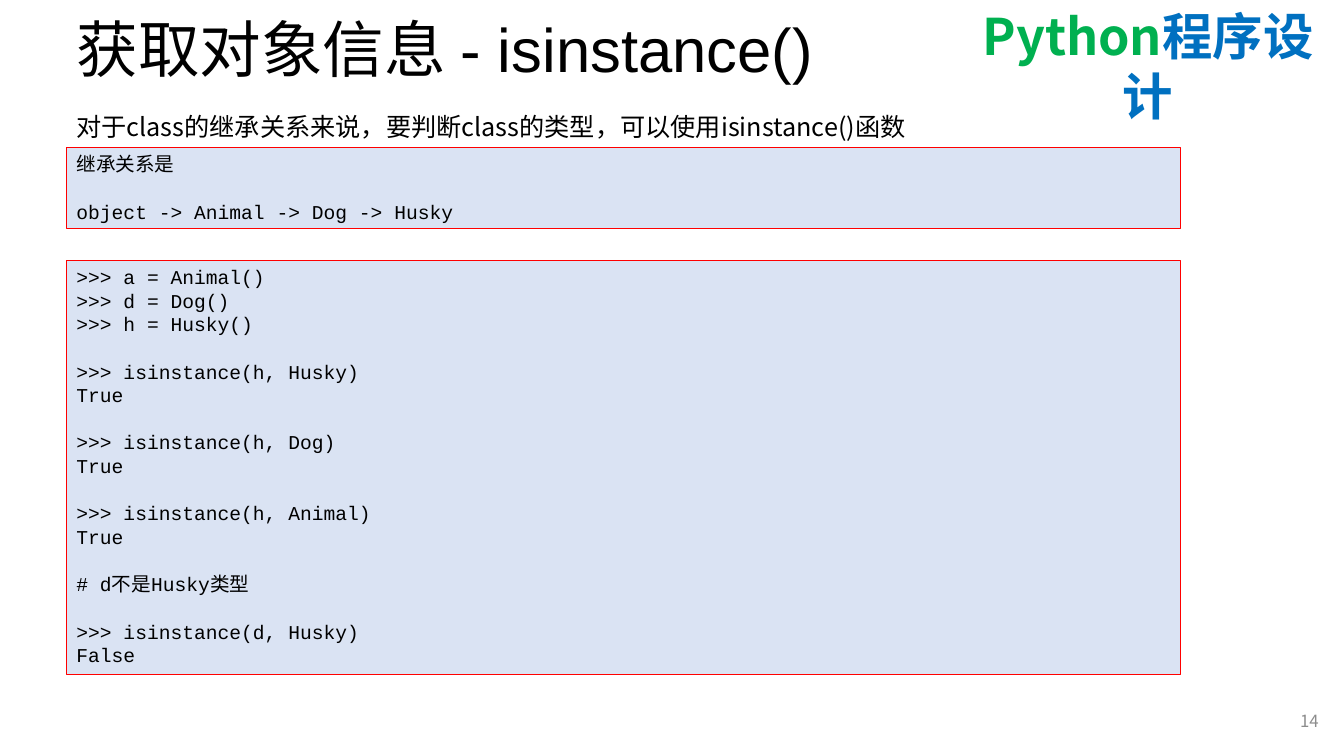
from pptx import Presentation
from pptx.dml.color import RGBColor
from pptx.enum.shapes import MSO_SHAPE as Shape
from pptx.enum.text import MSO_ANCHOR as Anchor, MSO_AUTO_SIZE as AutoSize, PP_ALIGN as Align
from pptx.oxml.ns import qn
from pptx.util import Pt

COLORS = {
    "black": "000000", "green": "00B050", "blue": "0070C0",
    "gray": "8C8C8C", "panel": "DAE3F3", "red": "FF0000",
}
BODY_FONT, TITLE_FONT, CODE_FONT = "Noto Sans CJK SC", "Arial", "Courier New"
LEFT = 47.5
CODE_SIZE, CODE_GAP = 14, 17

HIERARCHY = [["继承关系是"], ["object -> Animal -> Dog -> Husky"]]
SESSION = [
    [">>> a = Animal()", ">>> d = Dog()", ">>> h = Husky()"],
    [">>> isinstance(h, Husky)", "True"],
    [">>> isinstance(h, Dog)", "True"],
    [">>> isinstance(h, Animal)", "True"],
    ["# d不是Husky类型"],
    [">>> isinstance(d, Husky)", "False"],
]


def color(name):
    return RGBColor.from_string(COLORS[name])


class SlideBuilder:
    def __init__(self, deck):
        self.page = deck.slides.add_slide(deck.slide_layouts[5])

    def style(self, span, size, font=BODY_FONT, ink="black", bold=False):
        span.font.size = Pt(size)
        span.font.name = font
        span.font.bold = bold
        span.font.color.rgb = color(ink)
        east_asian = span.font._element.makeelement(qn("a:ea"), {"typeface": BODY_FONT})
        span.font._element.find(qn("a:latin")).addnext(east_asian)

    def title(self, text, left, top, width, height):
        box = self.page.shapes.title
        box.left, box.top, box.width, box.height = map(Pt, (left, top, width, height))
        frame = box.text_frame
        frame.text = text
        frame.auto_size = AutoSize.NONE
        frame.vertical_anchor = Anchor.MIDDLE
        para = frame.paragraphs[0]
        para.alignment = Align.LEFT
        para.line_spacing = 0.9
        self.style(para.runs[0], 44, TITLE_FONT)

    def text(self, spans, left, top, width, height, size,
             align=Align.LEFT, anchor=Anchor.TOP, bold=False):
        """Add one paragraph made of (text, colour name) spans."""
        box = self.page.shapes.add_textbox(*map(Pt, (left, top, width, height)))
        frame = box.text_frame
        frame.word_wrap = True
        frame.vertical_anchor = anchor
        para = frame.paragraphs[0]
        para.alignment = align
        for words, ink in spans:
            span = para.add_run()
            span.text = words
            self.style(span, size, ink=ink, bold=bold)

    def code(self, groups, top, height):
        """Add a code panel with a gap between groups of lines."""
        box = self.page.shapes.add_shape(
            Shape.RECTANGLE, Pt(LEFT), Pt(top), Pt(795.6), Pt(height))
        box.shadow.inherit = False
        box.fill.solid()
        box.fill.fore_color.rgb = color("panel")
        box.line.color.rgb = color("red")
        box.line.width = Pt(0.75)
        frame = box.text_frame
        frame.text = "\n".join(line for group in groups for line in group)
        frame.word_wrap = True
        frame.vertical_anchor = Anchor.TOP
        frame.auto_size = AutoSize.NONE
        paragraphs = iter(frame.paragraphs)
        for number, group in enumerate(groups):
            for position in range(len(group)):
                para = next(paragraphs)
                para.alignment = Align.LEFT
                if number and position == 0:
                    para.space_before = Pt(CODE_GAP)
                self.style(para.runs[0], CODE_SIZE, CODE_FONT)


def main():
    deck = Presentation()
    deck.slide_width, deck.slide_height = Pt(960), Pt(540)
    slide = SlideBuilder(deck)
    slide.text([("Python", "green"), ("程序设计", "blue")],
               681.8, 0, 276.5, 51.1, 36, Align.CENTER, bold=True)
    slide.title("获取对象信息 - isinstance()", LEFT, 0, 828, 75.6)
    slide.text([("14", "gray")], 733, 500.4, 216, 28.8, 12, Align.RIGHT, Anchor.MIDDLE)
    slide.text([("对于class的继承关系来说，要判断class的类型，可以使用isinstance()函数", "black")],
               LEFT, 76.3, 871.2, 28.8, 18)
    slide.code(HIERARCHY, 105.1, 58.3)
    slide.code(SESSION, 185.8, 295.9)
    deck.save("out.pptx")


if __name__ == "__main__":
    main()
